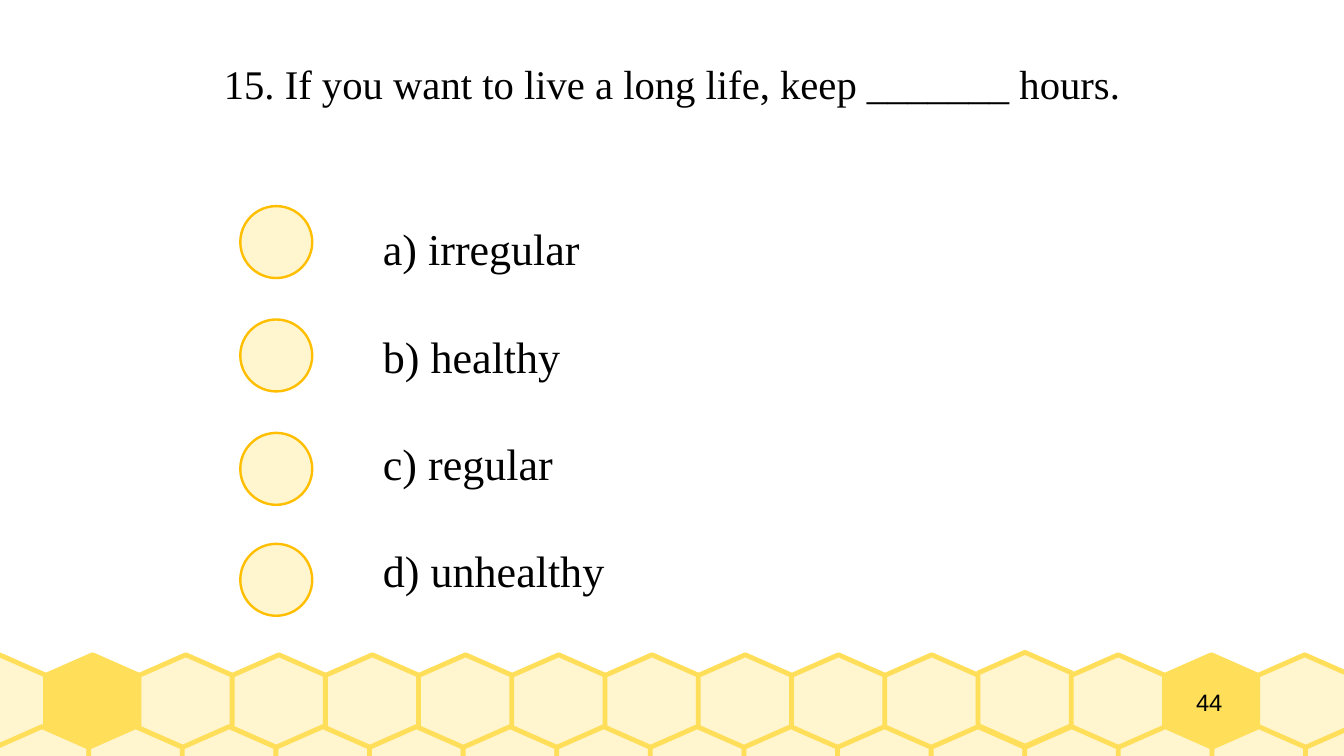
from pptx import Presentation
from pptx.dml.color import RGBColor
from pptx.enum import shapes, text
from pptx.util import Inches, Pt

QUESTION = "15. If you want to live a long life, keep _______ hours."
ANSWERS = ["a) irregular", "b) healthy", "c) regular", "d) unhealthy"]
PAGE_NUMBER = "44"

CREAM, HONEY, AMBER, BLACK = "FFF5CE", "FFDE59", "FFBF00", "000000"
SERIF, SANS = "Times New Roman", "Arial"

CIRCLE_LEFT, CIRCLE_SIZE = 1.97, 0.59
CIRCLE_TOPS = [1.69, 2.62, 3.55, 4.46]

CELL_SIZE, CELL_SHOULDER = 0.77, 0.17
CELLS_PER_ROW = 15
ROWS = [  # left, top, pitch, solid cells, raised cells
    (-0.39, 5.37, 0.7645, {1, 13}, {11}),
    (-0.04, 5.96, 0.7675, set(), set()),
]
RAISE = 0.02


def color(value):
    """Turn a hex string into a colour."""
    return RGBColor.from_string(value)


def paint(shape, fill, line, width):
    """Give a shape a flat fill and outline without shadow."""
    shape.shadow.inherit = False
    shape.fill.solid()
    shape.fill.fore_color.rgb = color(fill)
    shape.line.color.rgb = color(line)
    shape.line.width = Pt(width)


def add_cell(page, left, top, fill):
    """Draw one honeycomb cell in the square at left, top."""
    middle, right = left + CELL_SIZE / 2, left + CELL_SIZE
    bottom = top + CELL_SIZE
    upper, lower = top + CELL_SHOULDER, bottom - CELL_SHOULDER
    corners = [(middle, top), (left, upper), (left, lower),
               (middle, bottom), (right, lower), (right, upper)]
    points = [(Inches(x), Inches(y)) for x, y in corners]
    builder = page.shapes.build_freeform(*points[0])
    builder.add_line_segments(points[1:], close=True)
    paint(builder.convert_to_shape(), fill, HONEY, 2.83)


def add_text(page, lines, left, top, width, height, *, font, size,
             align=text.PP_ALIGN.LEFT, anchor=text.MSO_ANCHOR.TOP, gap=0):
    """Add a text box with one paragraph per line, gap points apart."""
    box = page.shapes.add_textbox(Inches(left), Inches(top),
                                  Inches(width), Inches(height))
    frame = box.text_frame
    frame.word_wrap = True
    frame.vertical_anchor = anchor
    frame.margin_left = frame.margin_right = 0
    frame.margin_top = frame.margin_bottom = 0
    for index, line in enumerate(lines):
        para = frame.add_paragraph() if index else frame.paragraphs[0]
        para.alignment = align
        para.space_after = Pt(gap)
        span = para.add_run()
        span.text = line
        span.font.name = font
        span.font.size = Pt(size)
        span.font.color.rgb = color(BLACK)


deck = Presentation()
deck.slide_width, deck.slide_height = Inches(11.02), Inches(6.2)
page = deck.slides.add_slide(deck.slide_layouts[6])

for left, top, pitch, solid, raised in ROWS:
    for index in range(CELLS_PER_ROW):
        add_cell(page, left + index * pitch,
                 top - RAISE if index in raised else top,
                 HONEY if index in solid else CREAM)

centred = {"align": text.PP_ALIGN.CENTER, "anchor": text.MSO_ANCHOR.MIDDLE}
add_text(page, [PAGE_NUMBER], 9.29, 5.37, 1.25, 0.77,
         font=SANS, size=14, **centred)
add_text(page, [QUESTION], 0.59, 0.18, 9.84, 1.01,
         font=SERIF, size=24, **centred)
add_text(page, ANSWERS, 3.14, 1.82, 7.48, 3.1,
         font=SERIF, size=26, gap=32.2)

for top in CIRCLE_TOPS:
    circle = page.shapes.add_shape(
        shapes.MSO_SHAPE.OVAL, Inches(CIRCLE_LEFT), Inches(top),
        Inches(CIRCLE_SIZE), Inches(CIRCLE_SIZE))
    paint(circle, CREAM, AMBER, 1.42)

deck.save("out.pptx")
